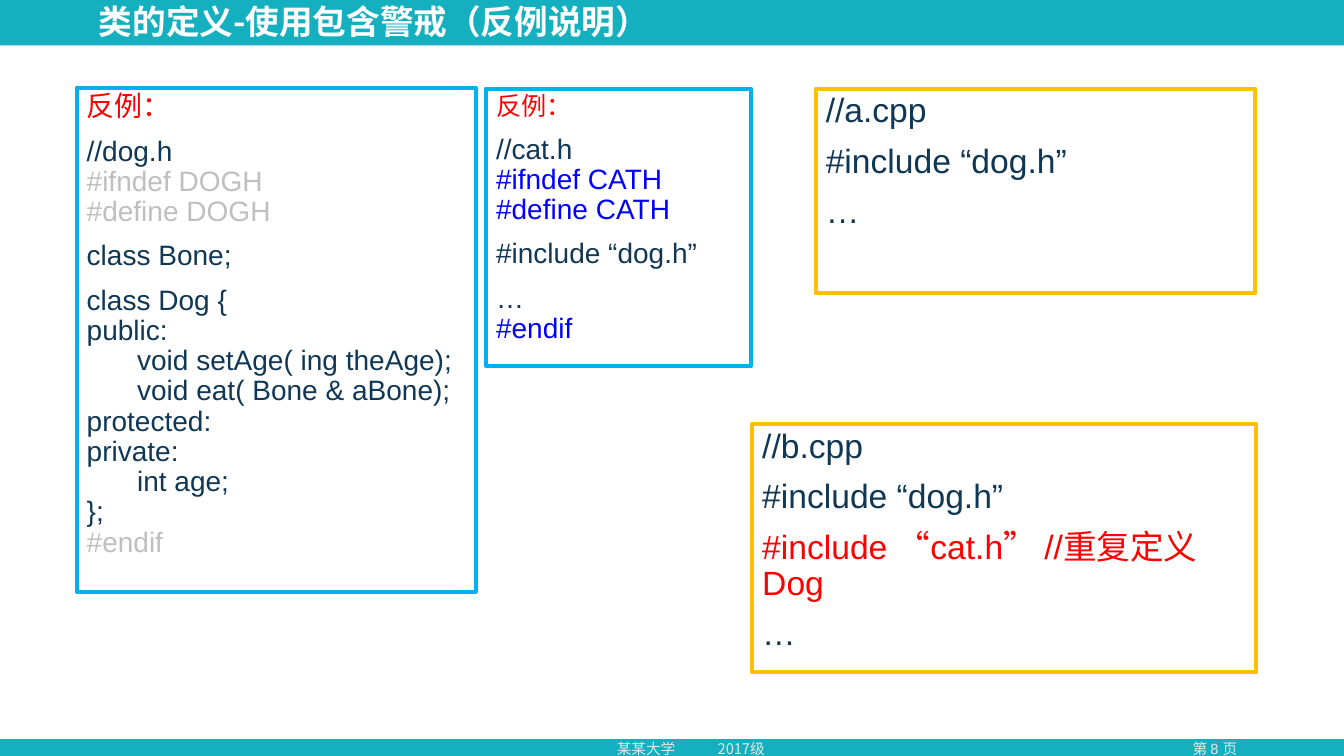
"""Build the slide on include guards with its four code panels."""
from dataclasses import dataclass

from lxml import etree
from pptx import Presentation
from pptx import util as u
from pptx.dml import color
from pptx.enum import shapes, text
from pptx.oxml import ns

LATIN, CJK = "Arial", "Noto Sans CJK SC"
TEAL, WHITE, PALE = "14B0C0", "FFFFFF", "E7E6E6"
CYAN, AMBER = "00B0F0", "FFC000"
NAVY, RED, GREY, BLUE = "103754", "FF0000", "BFBFBF", "0000FF"


@dataclass(frozen=True)
class Box:
    left: float
    top: float
    width: float
    height: float


@dataclass(frozen=True)
class Run:
    text: str
    color: str = NAVY
    size: float = 20
    font: str = LATIN
    bold: bool = False


@dataclass(frozen=True)
class Panel:
    box: Box
    line: str
    paragraphs: list[list[Run]]


def rgb(value: str) -> color.RGBColor:
    """Turn a hex string into a colour."""
    return color.RGBColor.from_string(value)


def place(sp, box: Box) -> None:
    """Set the position and size of a shape."""
    sp.left, sp.top = u.Inches(box.left), u.Inches(box.top)
    sp.width, sp.height = u.Inches(box.width), u.Inches(box.height)


def add_run(p, run: Run) -> None:
    """Add one run, with a line break at each newline."""
    for i, line in enumerate(run.text.split("\n")):
        if i:
            p.add_line_break()
        if not line:
            continue
        r = p.add_run()
        r.text = line
        r.font.size, r.font.bold = u.Pt(run.size), run.bold
        r.font.color.rgb = rgb(run.color)
        r.font.name = run.font
        ea = etree.SubElement(r.font._element, ns.qn("a:ea"))
        ea.set("typeface", CJK)


def add_tab_stop(p, inches: float) -> None:
    """Give a paragraph one left tab stop."""
    tabs = etree.SubElement(p._p.get_or_add_pPr(), ns.qn("a:tabLst"))
    etree.SubElement(tabs, ns.qn("a:tab"), pos=str(u.Inches(inches)), algn="l")


def fill_frame(tf, paragraphs: list[list[Run]], before: float = 0, tab: float = 0,
               align=text.PP_ALIGN.LEFT, spacing: float = 0.9) -> None:
    """Write paragraphs without bullets into a text frame."""
    tf.word_wrap, tf.auto_size = True, text.MSO_AUTO_SIZE.NONE
    for i, runs in enumerate(paragraphs):
        p = tf.add_paragraph() if i else tf.paragraphs[0]
        p.alignment, p.line_spacing = align, spacing
        p.space_before, p.space_after = u.Pt(before), u.Pt(0)
        pPr = p._p.get_or_add_pPr()
        pPr.set("marL", "0")
        pPr.set("indent", "0")
        etree.SubElement(pPr, ns.qn("a:buNone"))
        if tab:
            add_tab_stop(p, tab)
        for run in runs:
            add_run(p, run)


def add_backdrop(s, box: Box, fill: str, level: int) -> None:
    """Add a plain rectangle behind the placeholders."""
    sp = s.shapes.add_shape(shapes.MSO_SHAPE.RECTANGLE, 0, 0, 0, 0)
    place(sp, box)
    sp.shadow.inherit = False
    sp.fill.solid()
    sp.fill.fore_color.rgb = rgb(fill)
    sp.line.fill.background()
    sp.element.getparent().insert(2 + level, sp.element)


def add_footer(s, box: Box, run: Run, align, tab: float = 0) -> None:
    """Add a small text box in the bottom bar."""
    sp = s.shapes.add_textbox(0, 0, 0, 0)
    place(sp, box)
    fill_frame(sp.text_frame, [[run]], tab=tab, align=align, spacing=1)


def fill_panel(sp, panel: Panel) -> None:
    """Turn a body placeholder into an outlined code panel."""
    place(sp, panel.box)
    sp.line.color.rgb, sp.line.width = rgb(panel.line), u.Pt(3)
    sp.text_frame.vertical_anchor = text.MSO_ANCHOR.TOP
    fill_frame(sp.text_frame, panel.paragraphs, before=10, tab=0.46)


PANELS = [
    Panel(Box(0.76, 0.87, 3.96, 5), CYAN, [
        [Run("反例：", RED)],
        [Run("//dog.h\n"), Run("#ifndef DOGH\n#define DOGH", GREY)],
        [Run("class Bone;")],
        [Run("class Dog {\npublic:\n\tvoid setAge( ing theAge);\n"
             "\tvoid eat( Bone & aBone);\nprotected:\nprivate:\n\tint age;\n};\n"),
         Run("#endif", GREY)],
    ]),
    Panel(Box(7.46, 4.21, 5, 2.46), AMBER, [
        [Run("//b.cpp", size=24)],
        [Run("#include “dog.h”", size=24)],
        [Run("#include “cat.h” //重复定义Dog", RED, 24)],
        [Run("…", size=24)],
    ]),
    Panel(Box(8.09, 0.88, 4.36, 2.03), AMBER, [
        [Run("//a.cpp", size=24)],
        [Run("#include “dog.h”", size=24)],
        [Run("…", size=24)],
    ]),
    Panel(Box(4.82, 0.88, 2.63, 2.75), CYAN, [
        [Run("反例：", RED, 18)],
        [Run("//cat.h\n"), Run("#ifndef CATH\n#define CATH", BLUE)],
        [Run("#include “dog.h”")],
        [Run("…\n"), Run("#endif", BLUE)],
    ]),
]


def main() -> None:
    """Build and save the slide."""
    prs = Presentation()
    prs.slide_width, prs.slide_height = u.Inches(13.33), u.Inches(7.5)
    s = prs.slides.add_slide(prs.slide_layouts.get_by_name("Comparison"))
    add_backdrop(s, Box(0, 0, 13.33, 7.5), TEAL, 0)
    add_backdrop(s, Box(0, 0.45, 13.33, 6.88), WHITE, 1)

    title = s.shapes.title
    place(title, Box(0.88, 0.04, 7.68, 0.39))
    title.text_frame.vertical_anchor = text.MSO_ANCHOR.MIDDLE
    fill_frame(title.text_frame,
               [[Run("类的定义-使用包含警戒（反例说明）", WHITE, 24, CJK, True)]])

    bodies = [sp for sp in s.placeholders if sp.placeholder_format.idx]
    for sp, panel in zip(bodies, PANELS):
        fill_panel(sp, panel)

    add_footer(s, Box(11.32, 7.29, 1.46, 0.28), Run("第 8 页", PALE, 10.5),
               text.PP_ALIGN.CENTER)
    add_footer(s, Box(6.02, 7.29, 1.84, 0.28), Run("某某大学\t2017级", PALE, 10.5, CJK),
               text.PP_ALIGN.LEFT, tab=0.78)
    prs.save("out.pptx")


main()
